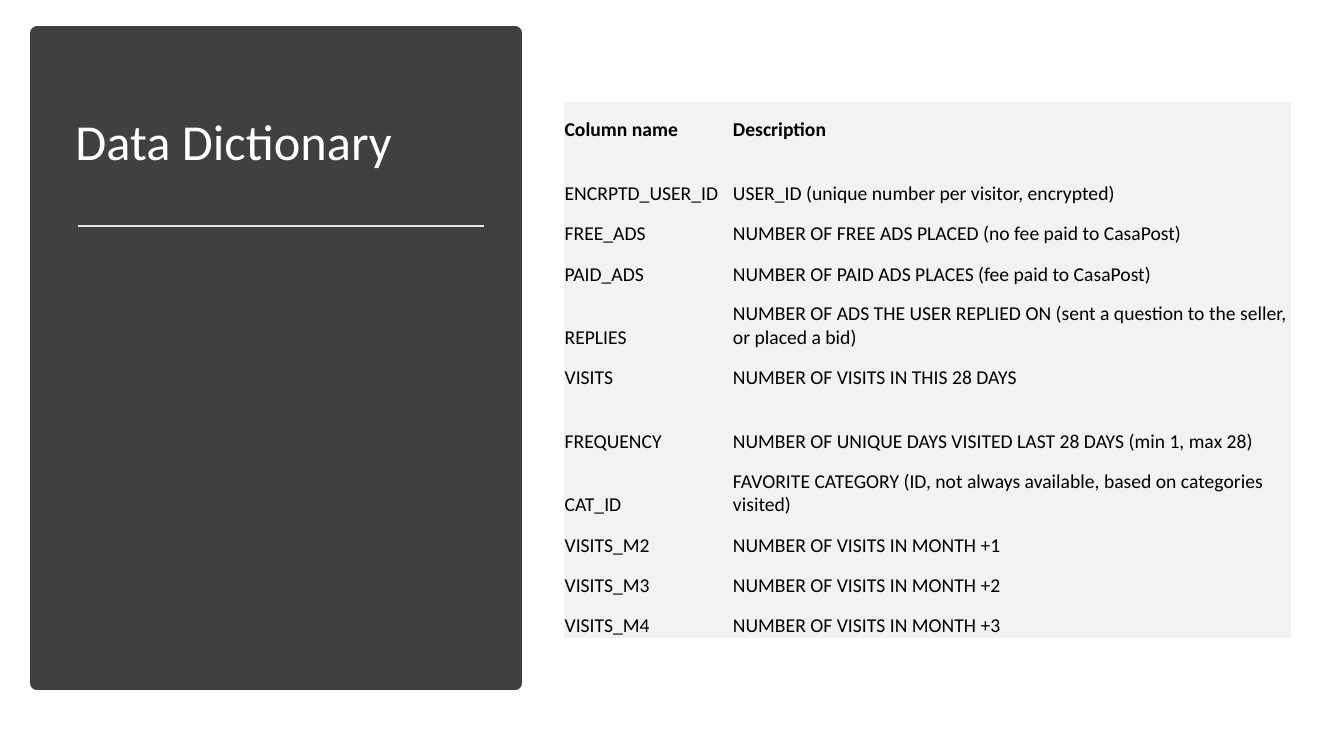
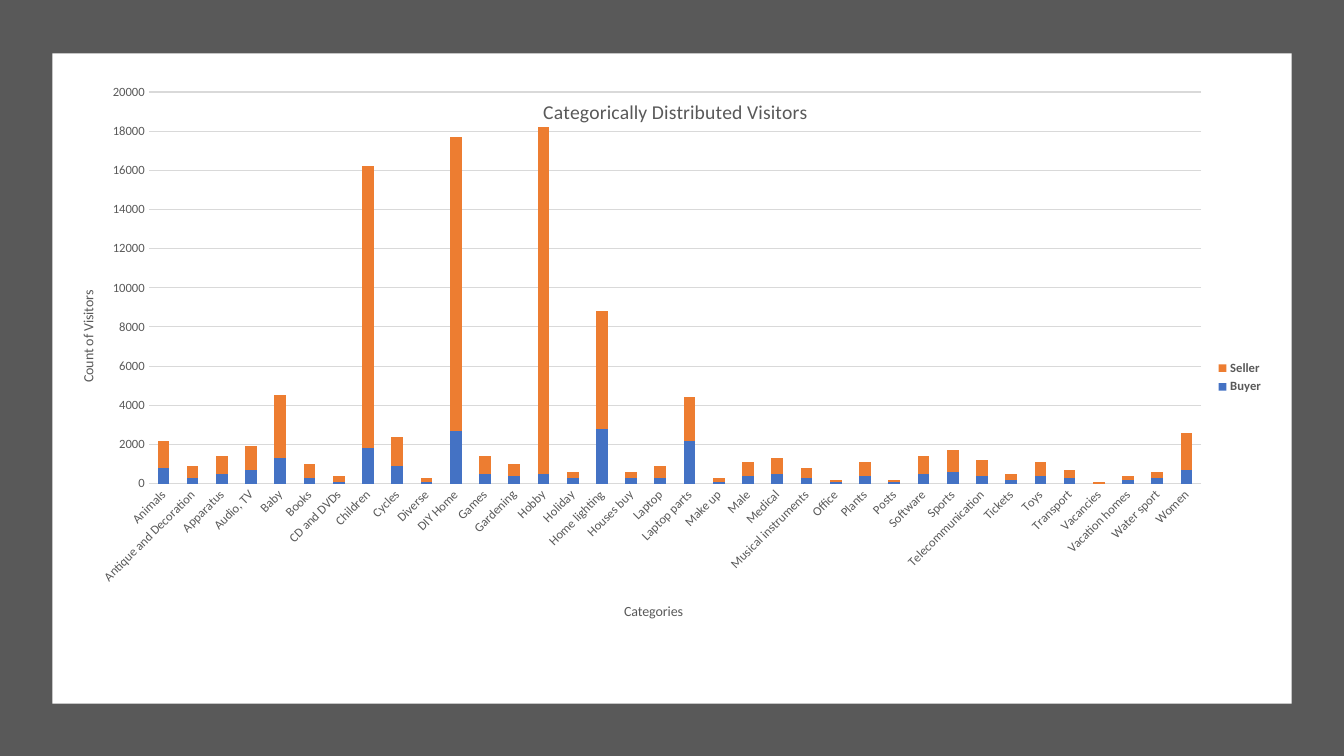
from pptx import Presentation
from pptx.chart.data import CategoryChartData
from pptx.dml.color import RGBColor
from pptx.enum.chart import XL_CHART_TYPE, XL_LEGEND_POSITION, XL_TICK_MARK
from pptx.enum.shapes import MSO_CONNECTOR, MSO_SHAPE
from pptx.enum.text import MSO_ANCHOR
from pptx.oxml import parse_xml
from pptx.oxml.ns import nsdecls, qn
from pptx.util import Inches, Pt

FONT = "Calibri"
WHITE, BLACK = "FFFFFF", "000000"
PANEL, BACKDROP = "404040", "595959"
RULE, CELL, GRID, CHART_TEXT = "E7E6E6", "F2F2F2", "D9D9D9", "595959"
BUYER, SELLER = "4472C4", "ED7D31"
NO_STYLE = "{2D5ABB26-0587-4C30-8999-92F81FD0307C}"
WIDTH, HEIGHT = 13.33, 7.5

DICTIONARY = [
    ("Column name", "Description"),
    ("ENCRPTD_USER_ID", "USER_ID (unique number per visitor, encrypted)"),
    ("FREE_ADS", "NUMBER OF FREE ADS PLACED (no fee paid to CasaPost)"),
    ("PAID_ADS", "NUMBER OF PAID ADS PLACES (fee paid to CasaPost)"),
    ("REPLIES", "NUMBER OF ADS THE USER REPLIED ON (sent a question to the seller, or placed a bid)"),
    ("VISITS", "NUMBER OF VISITS IN THIS 28 DAYS"),
    ("FREQUENCY", "NUMBER OF UNIQUE DAYS VISITED LAST 28 DAYS (min 1, max 28)"),
    ("CAT_ID", "FAVORITE CATEGORY (ID, not always available, based on categories visited)"),
    ("VISITS_M2", "NUMBER OF VISITS IN MONTH +1"),
    ("VISITS_M3", "NUMBER OF VISITS IN MONTH +2"),
    ("VISITS_M4", "NUMBER OF VISITS IN MONTH +3"),
]
TALL_ROWS = {1, 4, 6, 7}

# Category, buyers, sellers
VISITORS = [
    ("Animals", 800, 1400), ("Antique and Decoration", 300, 600),
    ("Apparatus", 500, 900), ("Audio, TV", 700, 1200),
    ("Baby", 1300, 3200), ("Books", 300, 700),
    ("CD and DVDs", 100, 300), ("Children", 1800, 14400),
    ("Cycles", 900, 1500), ("Diverse", 100, 200),
    ("DIY Home", 2700, 15000), ("Games", 500, 900),
    ("Gardening", 400, 600), ("Hobby", 500, 17700),
    ("Holiday", 300, 300), ("Home lighting", 2800, 6000),
    ("Houses buy", 300, 300), ("Laptop", 300, 600),
    ("Laptop parts", 2200, 2200), ("Make up", 100, 200),
    ("Male", 400, 700), ("Medical", 500, 800),
    ("Musical instruments", 300, 500), ("Office", 100, 100),
    ("Plants", 400, 700), ("Posts", 100, 100),
    ("Software", 500, 900), ("Sports", 600, 1100),
    ("Telecommunication", 400, 800), ("Tickets", 200, 300),
    ("Toys", 400, 700), ("Transport", 300, 400),
    ("Vacancies", 0, 100), ("Vacation homes", 200, 200),
    ("Water sport", 300, 300), ("Women", 700, 1900),
]


def rgb(value):
    return RGBColor.from_string(value)


def style_font(font, size, color, bold=False):
    font.name, font.size, font.bold = FONT, Pt(size), bold
    font.color.rgb = rgb(color)


def add_panel(slide, x, y, w, h, color, line=0):
    sp = slide.shapes.add_shape(
        MSO_SHAPE.RECTANGLE, Inches(x), Inches(y), Inches(w), Inches(h))
    sp.shadow.inherit = False
    sp.fill.solid()
    sp.fill.fore_color.rgb = rgb(color)
    if line:
        sp.line.color.rgb = rgb(color)
        sp.line.width = Pt(line)
    else:
        sp.line.fill.background()


def add_title_panel(slide, x, y, w, h, title):
    """Dark panel with a title and a thin rule below it."""
    add_panel(slide, x, y, w, h, PANEL, line=10)
    box = slide.shapes.add_textbox(
        Inches(x + 0.28), Inches(y + 0.37), Inches(w - 0.56), Inches(1.47))
    tf = box.text_frame
    tf.word_wrap = True
    tf.vertical_anchor = MSO_ANCHOR.MIDDLE
    p = tf.paragraphs[0]
    p.text = title
    p.line_spacing = 0.9
    style_font(p.font, 36, WHITE)
    rule_y = Inches(y + 1.91)
    rule = slide.shapes.add_connector(
        MSO_CONNECTOR.STRAIGHT, Inches(x + 0.4), rule_y, Inches(x + w - 0.31), rule_y)
    rule.line.color.rgb = rgb(RULE)
    rule.line.width = Pt(1.75)
    rule._element.spPr.append(parse_xml(f"<a:effectLst {nsdecls('a')}/>"))


def add_dictionary(slide, x, y, w, h):
    """Two-column table with a bold heading row."""
    table = slide.shapes.add_table(
        len(DICTIONARY), 2, Inches(x), Inches(y), Inches(w), Inches(h)).table
    table.first_row = table.horz_banding = False
    table._tbl.tblPr.find(qn("a:tableStyleId")).text = NO_STYLE
    name_width = 1.67
    table.columns[0].width = Inches(name_width)
    table.columns[1].width = Inches(w - name_width)
    for i, texts in enumerate(DICTIONARY):
        table.rows[i].height = Inches(0.63 if i in TALL_ROWS else 0.4)
        for cell, text in zip(table.rows[i].cells, texts):
            cell.fill.solid()
            cell.fill.fore_color.rgb = rgb(CELL)
            cell.vertical_anchor = MSO_ANCHOR.BOTTOM
            cell.margin_left = cell.margin_right = Inches(0.01)
            cell.margin_top, cell.margin_bottom = Inches(0.12), 0
            p = cell.text_frame.paragraphs[0]
            p.text = text
            style_font(p.font, 14, BLACK, bold=i == 0)


def set_layout(element, index, x, y, size=None):
    """Place a chart part by fractions of the chart area."""
    for old in element.findall(qn("c:layout")):
        element.remove(old)
    parts = [("xMode", "edge"), ("yMode", "edge"), ("x", x), ("y", y)]
    if size:
        parts.insert(0, ("layoutTarget", "inner"))
        parts += zip("wh", size)
    body = "".join(f'<c:{tag} val="{val}"/>' for tag, val in parts)
    element.insert(index, parse_xml(
        f"<c:layout {nsdecls('c')}><c:manualLayout>{body}</c:manualLayout></c:layout>"))


def set_chart_title(title, text, size, x, y):
    p = title.text_frame.paragraphs[0]
    p.text = text
    style_font(p.font, size, CHART_TEXT)
    set_layout(title._element, 1, x, y)


def style_axis(axis, title, x, y):
    axis.major_tick_mark = axis.minor_tick_mark = XL_TICK_MARK.NONE
    style_font(axis.tick_labels.font, 9, CHART_TEXT)
    set_chart_title(axis.axis_title, title, 10, x, y)


def add_visitor_chart(slide, x, y, w, h):
    """Stacked columns of buyers and sellers per category."""
    names, buyers, sellers = zip(*VISITORS)
    data = CategoryChartData()
    data.categories = names
    data.add_series("Buyer", buyers)
    data.add_series("Seller", sellers)
    chart = slide.shapes.add_chart(
        XL_CHART_TYPE.COLUMN_STACKED, Inches(x), Inches(y), Inches(w), Inches(h), data).chart
    style_font(chart.font, 10, BLACK)

    # Title and plot area
    set_chart_title(chart.chart_title, "Categorically Distributed Visitors", 14, 0.39, 0.04)
    chart.chart_title._element.find(qn("c:overlay")).set("val", "1")
    plot_area = chart._chartSpace.chart.plotArea
    set_layout(plot_area, 0, 0.065, 0.035, (0.875, 0.638))

    # Columns
    plot = chart.plots[0]
    plot.gap_width, plot.overlap = 150, 100
    plot.vary_by_categories = False
    for series, color in zip(plot.series, (BUYER, SELLER)):
        series.format.fill.solid()
        series.format.fill.fore_color.rgb = rgb(color)

    # Axes
    cat, val = chart.category_axis, chart.value_axis
    style_axis(cat, "Categories", 0.458, 0.862)
    style_axis(val, "Count of Visitors", 0.005, 0.354)
    cat_text = cat._element.find(qn("c:txPr")).find(qn("a:bodyPr"))
    cat_text.set("rot", "-2700000")
    cat_text.set("vert", "horz")
    val_text = val.axis_title.text_frame._txBody.find(qn("a:bodyPr"))
    val_text.set("rot", "-5400000")
    val_text.set("vert", "horz")
    val.minimum_scale, val.maximum_scale, val.major_unit = 0, 20000, 2000
    val.format.line.fill.background()
    for line in (cat.format.line, val.major_gridlines.format.line):
        line.color.rgb = rgb(GRID)
        line.width = Pt(0.75)

    # Legend
    chart.has_legend = True
    chart.legend.position = XL_LEGEND_POSITION.RIGHT
    chart.legend.include_in_layout = False
    style_font(chart.legend.font, 9, CHART_TEXT, bold=True)


def build_dictionary_slide(slide):
    add_title_panel(slide, 0.37, 0.33, 4.74, 6.45, "Data Dictionary")
    add_dictionary(slide, 5.59, 1.01, 7.21, 5.32)


def build_chart_slide(slide):
    add_panel(slide, 0, 0, WIDTH, HEIGHT, BACKDROP)
    add_panel(slide, 0.52, 0.53, 12.29, 6.45, WHITE)
    add_visitor_chart(slide, 0.7, 0.7, 11.93, 6.09)


def main():
    prs = Presentation()
    prs.slide_width, prs.slide_height = Inches(WIDTH), Inches(HEIGHT)
    for build in (build_dictionary_slide, build_chart_slide):
        build(prs.slides.add_slide(prs.slide_layouts[6]))
    prs.save("out.pptx")


if __name__ == "__main__":
    main()
